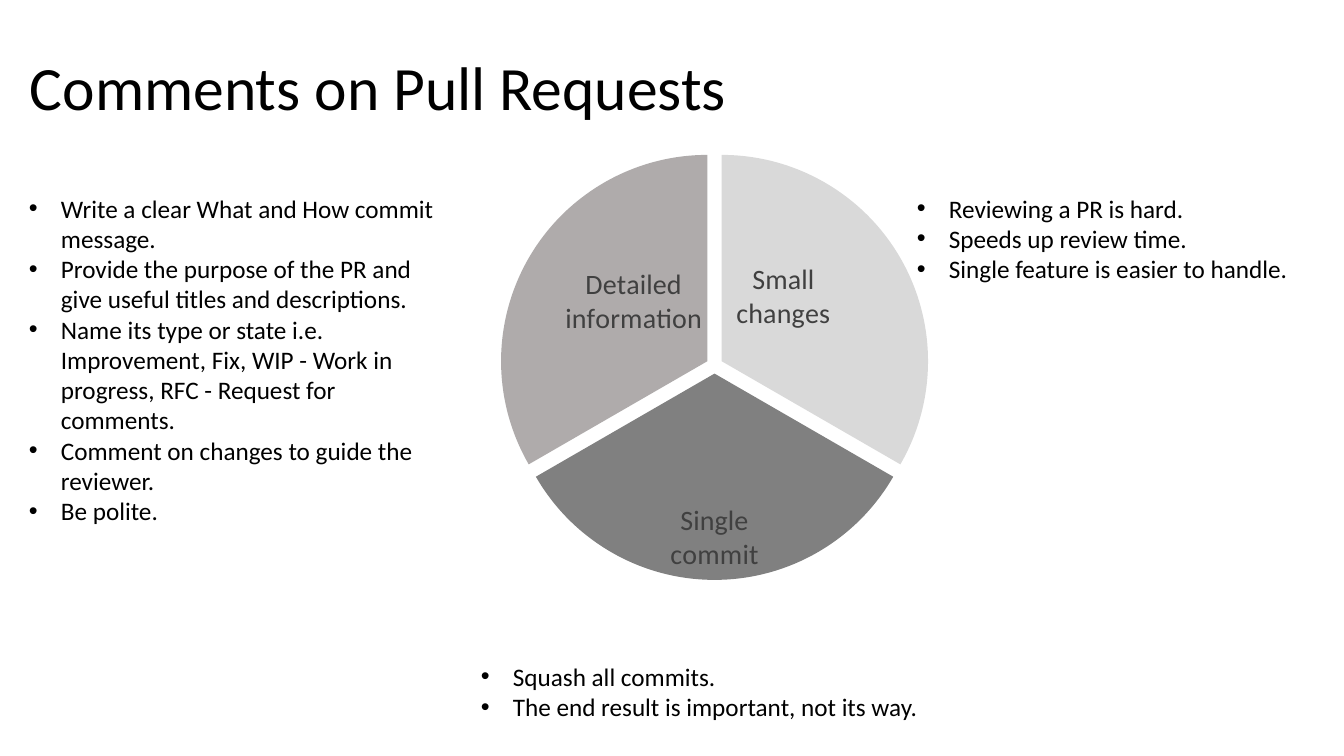
from lxml.etree import SubElement
from pptx import Presentation
from pptx.chart.data import CategoryChartData
from pptx.dml.color import RGBColor
from pptx.enum.chart import XL_CHART_TYPE, XL_LABEL_POSITION
from pptx.enum.text import MSO_ANCHOR
from pptx.oxml import parse_xml
from pptx.oxml.ns import nsdecls, qn
from pptx.util import Pt

SCALE = 914400 / 100.8
FONT = "Calibri"
BLACK = RGBColor(0x00, 0x00, 0x00)
LABEL = RGBColor(0x40, 0x40, 0x40)
LIGHT = RGBColor(0xD9, 0xD9, 0xD9)
DARK = RGBColor(0x80, 0x80, 0x80)
WARM = RGBColor(0xAF, 0xAB, 0xAB)

SLICES = [
    ("Small changes", LIGHT, (-28, -13)),
    ("Single commit", DARK, (0, 61)),
    ("Detailed information", WARM, (16, -8)),
]
DETAIL = [
    "Write a clear What and How commit message.",
    "Provide the purpose of the PR and give useful titles and descriptions.",
    "Name its type or state i.e. Improvement, Fix, WIP - Work in progress, "
    "RFC - Request for comments.",
    "Comment on changes to guide the reviewer.",
    "Be polite.",
]
COMMIT = ["Squash all commits.", "The end result is important, not its way."]
SMALL = [
    "Reviewing a PR is hard.",
    "Speeds up review time.",
    "Single feature is easier to handle.",
]


def px(size):
    """Turn pixels into EMU."""
    return round(size * SCALE)


def style(font, size, color):
    """Set the face, size and colour of a font."""
    font.name = FONT
    font.size = Pt(size)
    font.color.rgb = color


def add_text(slide, box, lines, size):
    """Add a wrapped text box with one paragraph per line."""
    frame = slide.shapes.add_textbox(*map(px, box)).text_frame
    frame.word_wrap = True
    frame.text = "\n".join(lines)
    for para in frame.paragraphs:
        style(para.font, size, BLACK)
    return frame


def add_title(slide, box, text):
    """Add the slide title, centred in height."""
    frame = add_text(slide, box, [text], 44)
    frame.vertical_anchor = MSO_ANCHOR.MIDDLE
    frame.paragraphs[0].line_spacing = 0.9


def add_list(slide, box, lines):
    """Add a bulleted list."""
    for para in add_text(slide, box, lines, 18).paragraphs:
        props = para._p.get_or_add_pPr()
        props.set("marL", str(px(32)))
        props.set("indent", str(-px(32)))
        SubElement(props, qn("a:buFont"), typeface="Arial")
        SubElement(props, qn("a:buChar"), char="•")


def layout(values, target=""):
    """Make a manual chart layout from fractions of the chart."""
    parts = "".join(f'<c:{key} val="{val:.3f}"/>' for key, val in values.items())
    return parse_xml(
        f'<c:layout {nsdecls("c")}><c:manualLayout>{target}{parts}'
        "</c:manualLayout></c:layout>"
    )


def add_label(label, name):
    """Write a slice name with one word per line."""
    frame = label.text_frame
    frame.text = name.replace(" ", "\n")
    for para in frame.paragraphs:
        for run in para.runs:
            style(run.font, 20, LABEL)
    label.position = XL_LABEL_POSITION.CENTER


def add_pie(slide, box, disc):
    """Add the exploded pie, with its disc placed inside the box."""
    width, height = box[2:]
    data = CategoryChartData()
    data.categories = [name for name, _, _ in SLICES]
    data.add_series("Series 1", [33] * len(SLICES))
    chart = slide.shapes.add_chart(XL_CHART_TYPE.PIE, *map(px, box), data).chart
    chart.has_legend = False
    chart.has_title = False
    style(chart.font, 10, BLACK)
    plot = chart.plots[0]
    plot.vary_by_categories = True
    left, top, side = disc
    area = chart._chartSpace.find(".//" + qn("c:plotArea"))
    for old in area.findall(qn("c:layout")):
        area.remove(old)
    spots = {"x": left / width, "y": top / height,
             "w": side / width, "h": side / height}
    modes = ('<c:layoutTarget val="inner"/><c:xMode val="edge"/>'
             '<c:yMode val="edge"/>')
    area.insert(0, layout(spots, modes))
    series = plot.series[0]
    for point, (name, color, _) in enumerate(SLICES):
        part = series.points[point]
        part.format.fill.solid()
        part.format.fill.fore_color.rgb = color
        add_label(part.data_label, name)
    for part in series._element.findall(qn("c:dPt")):
        blast = parse_xml(f'<c:explosion {nsdecls("c")} val="4"/>')
        part.find(qn("c:spPr")).addprevious(blast)
    labels = series._element.findall(".//" + qn("c:dLbl"))
    for label, (_, _, (dx, dy)) in zip(labels, SLICES):
        label.insert(1, layout({"x": dx / width, "y": dy / height}))
        label.find(qn("c:showVal")).set("val", "0")
        label.find(qn("c:showCatName")).set("val", "1")


def build():
    """Build and save the deck."""
    deck = Presentation()
    deck.slide_width, deck.slide_height = px(1344), px(756)
    slide = deck.slides.add_slide(deck.slide_layouts[6])
    add_pie(slide, (318, 121, 749, 548), (190, 38, 413))
    add_list(slide, (19, 188, 428, 377), DETAIL)
    add_list(slide, (471, 656, 546, 72), COMMIT)
    add_list(slide, (907, 188, 431, 102), SMALL)
    add_title(slide, (20, 18, 1159, 146), "Comments on Pull Requests")
    deck.save("out.pptx")


build()
